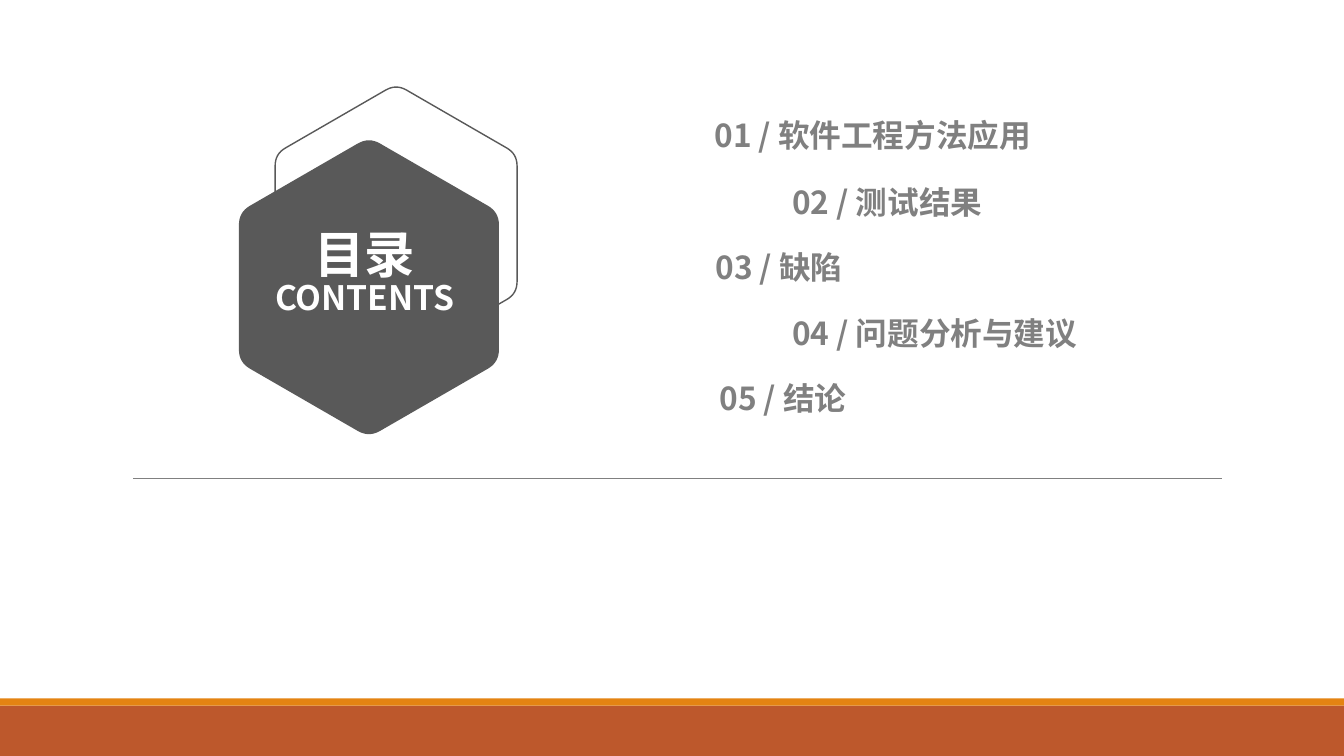
from math import cos, pi, sin, sqrt

from lxml import etree
from pptx import Presentation
from pptx.dml.color import RGBColor
from pptx.enum.shapes import MSO_CONNECTOR, MSO_SHAPE
from pptx.enum.text import MSO_ANCHOR, MSO_AUTO_SIZE, PP_ALIGN
from pptx.oxml.ns import qn
from pptx.util import Inches, Pt

FONT = "Noto Sans CJK SC"
DARK, GRAY, WHITE = "595959", "808080", "FFFFFF"


def rgb(value):
    return RGBColor.from_string(value)


def style_shape(sp, fill=None, line=None, width=1):
    sp.shadow.inherit = False
    if fill:
        sp.fill.solid()
        sp.fill.fore_color.rgb = rgb(fill)
    else:
        sp.fill.background()
    if line:
        sp.line.color.rgb = rgb(line)
        sp.line.width = Pt(width)
    else:
        sp.line.fill.background()


def add_band(s, top, height, color):
    sp = s.shapes.add_shape(MSO_SHAPE.RECTANGLE, 0, Inches(top),
                            Inches(13.333), Inches(height))
    style_shape(sp, fill=color)


def add_rule(s, x1, x2, y, color, width):
    line = s.shapes.add_connector(MSO_CONNECTOR.STRAIGHT, Inches(x1), Inches(y),
                                  Inches(x2), Inches(y))
    line.line.color.rgb = rgb(color)
    line.line.width = Pt(width)
    etree.SubElement(line._element.spPr, qn("a:effectLst"))


def add_hexagon(s, cx, cy, width, cut=0.085, steps=8, **style):
    """Regular hexagon, point up; each corner is a quadratic curve."""
    radius = width / sqrt(3)
    corners = [(cx + radius * sin(k * pi / 3), cy - radius * cos(k * pi / 3))
               for k in range(6)]
    points = []
    for k, corner in enumerate(corners):
        before, after = corners[k - 1], corners[(k + 1) % 6]
        for i in range(steps + 1):
            t = i / steps
            a, b = cut * (1 - t) ** 2, cut * t ** 2
            points.append(tuple(Inches(c + a * (p - c) + b * (n - c))
                                for c, p, n in zip(corner, before, after)))
    builder = s.shapes.build_freeform(*points[0], scale=1.0)
    builder.add_line_segments(points[1:], close=True)
    style_shape(builder.convert_to_shape(), **style)


def write_text(sp, *lines, color, spacing, align=PP_ALIGN.LEFT):
    """Each line is a pair of text and size in points."""
    tf = sp.text_frame
    tf.word_wrap = True
    tf.auto_size = MSO_AUTO_SIZE.NONE
    tf.vertical_anchor = MSO_ANCHOR.TOP
    for i, (text, size) in enumerate(lines):
        p = tf.paragraphs[0] if i == 0 else tf.add_paragraph()
        p.alignment = align
        p.line_spacing = spacing
        p.space_before = Pt(0)
        r = p.add_run()
        r.text = text
        r.font.name = FONT
        r.font.size = Pt(size)
        r.font.bold = True
        r.font.color.rgb = rgb(color)
        etree.SubElement(r.font._element, qn("a:ea"), typeface=FONT)


def place(sp, left, top, width, height):
    sp.left, sp.top = Inches(left), Inches(top)
    sp.width, sp.height = Inches(width), Inches(height)


def main():
    prs = Presentation()
    prs.slide_width, prs.slide_height = Inches(13.333), Inches(7.5)
    s = prs.slides.add_slide(prs.slide_layouts[5])

    # Footer bands and rule
    add_band(s, 7, 0.5, "BD582C")
    add_band(s, 6.93, 0.07, "E48312")
    add_rule(s, 1.32, 12.12, 4.75, GRAY, 0.5)

    # Overlapping hexagons
    add_hexagon(s, 3.93, 2.22, 2.4, line=DARK)
    add_hexagon(s, 3.66, 2.85, 2.58, fill=DARK)

    # Title, brought in front of the hexagons
    title = s.shapes.title
    s.shapes._spTree.append(title._element)
    place(title, 2.41, 2.26, 2.42, 1.11)
    write_text(title, ("目录", 36), ("CONTENTS", 24), color=WHITE,
               spacing=0.84, align=PP_ALIGN.CENTER)

    # Contents entries
    entries = [("软件工程方法应用", 6.99, 1.14), ("测试结果", 7.76, 1.81),
               ("缺陷", 7, 2.45), ("问题分析与建议", 7.76, 3.11),
               ("结论", 7.04, 3.75)]
    for number, (text, left, top) in enumerate(entries, 1):
        box = s.shapes.add_textbox(Inches(left), Inches(top),
                                   Inches(4), Inches(0.48))
        write_text(box, (f"{number:02} / {text}", 22.6), color=GRAY, spacing=0.9)

    prs.save("out.pptx")


if __name__ == "__main__":
    main()
